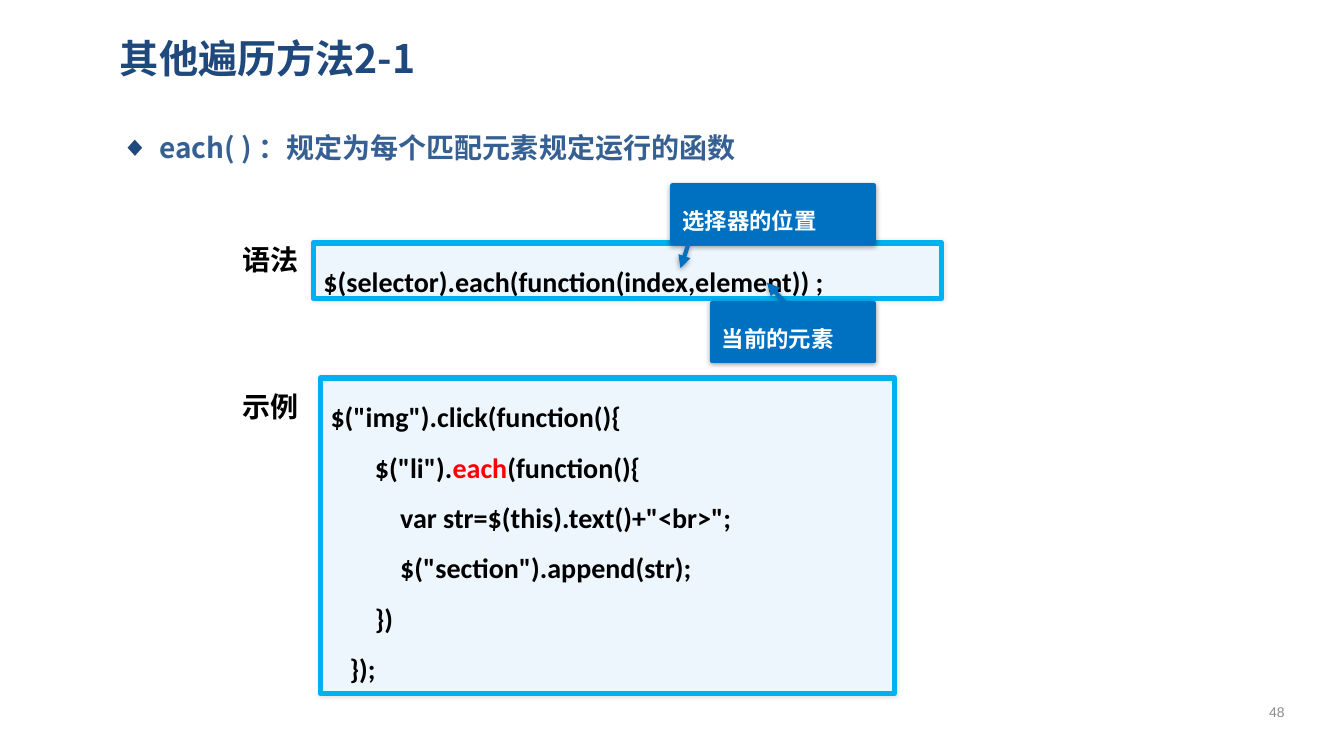
from dataclasses import dataclass

from lxml import etree
from pptx import Presentation
from pptx.dml.color import RGBColor
from pptx.enum.shapes import MSO_SHAPE as Preset
from pptx.enum.text import MSO_ANCHOR as Anchor, MSO_AUTO_SIZE as AutoSize, PP_ALIGN as Align
from pptx.oxml import parse_xml
from pptx.oxml.ns import nsdecls, qn
from pptx.util import Inches, Pt

CELL = 0.1  # inches per grid column and row
CHINESE, CODE, NUMBER = "Noto Sans CJK SC", "Calibri", "Arial"
NAVY, STEEL, BLUE, CYAN, PALE = "1F497D", "376092", "0070C0", "00B0F0", "EDF5FD"
BLACK, WHITE, RED, GRAY = "000000", "FFFFFF", "FF0000", "8C8C8C"


@dataclass
class Box:
    """A rectangle counted in grid cells."""
    left: float
    top: float
    width: float
    height: float

    def within(self, left, top, width, height):
        return Box(self.left + left, self.top + top, width, height)

    def lengths(self):
        return [Inches(cells * CELL) for cells in (self.left, self.top, self.width, self.height)]


def color(hex_string):
    return RGBColor.from_string(hex_string)


def shadow_effect(alpha, blur, distance, angle):
    return parse_xml(
        f'<a:effectLst {nsdecls("a")}><a:outerShdw blurRad="{Pt(blur)}" dist="{Pt(distance)}" '
        f'dir="{angle * 60000}" algn="ctr" rotWithShape="0"><a:srgbClr val="{BLACK}">'
        f'<a:alpha val="{alpha * 1000}"/></a:srgbClr></a:outerShdw></a:effectLst>')


def add_run(paragraph, text, size, font_name, hex_color, bold=True):
    run = paragraph.add_run()
    run.text = text
    font = run.font
    font.size, font.bold, font.name = Pt(size), bold, font_name
    font.color.rgb = color(hex_color)
    latin = run._r.rPr.find(qn("a:latin"))
    latin.addnext(parse_xml(f'<a:ea {nsdecls("a")} typeface="{font_name}"/>'))
    return run


def prepare_frame(shape, anchor=Anchor.TOP, wrap=True, insets=(0.1, 0.05)):
    frame = shape.text_frame
    frame.auto_size = AutoSize.NONE
    frame.word_wrap, frame.vertical_anchor = wrap, anchor
    frame.margin_left = frame.margin_right = Inches(insets[0])
    frame.margin_top = frame.margin_bottom = Inches(insets[1])
    return frame


def move(shape, box):
    shape.left, shape.top, shape.width, shape.height = box.lengths()


def add_panel(slide, box, preset, fill, line, line_width, shadow):
    shape = slide.shapes.add_shape(preset, *box.lengths())
    shape.fill.solid()
    shape.fill.fore_color.rgb = color(fill)
    shape.line.color.rgb = color(line)
    shape.line.width = Pt(line_width)
    shape._element.spPr.append(shadow_effect(*shadow))
    return shape


def add_title(slide, box):
    title = slide.shapes.title
    move(title, box)
    paragraph = prepare_frame(title, Anchor.MIDDLE, insets=(0.09, 0.04)).paragraphs[0]
    paragraph.alignment = Align.LEFT
    add_run(paragraph, "其他遍历方法2-1", 28, CHINESE, NAVY)


def add_bullet_list(slide, box):
    body = slide.placeholders[1]
    move(body, box)
    paragraph = prepare_frame(body, insets=(0.09, 0.04)).paragraphs[0]
    paragraph.line_spacing, paragraph.space_before = 1.2, Pt(0)
    properties = paragraph._p.get_or_add_pPr()
    properties.set("marL", str(Inches(0.38)))
    properties.set("indent", str(-Inches(0.38)))
    bullet_color = etree.SubElement(properties, qn("a:buClr"))
    etree.SubElement(bullet_color, qn("a:srgbClr")).set("val", NAVY)
    etree.SubElement(properties, qn("a:buChar")).set("char", "◆")
    add_run(paragraph, "each( ) ：规定为每个匹配元素规定运行的函数", 20, CHINESE, STEEL)


def add_label(slide, box, text):
    label = slide.shapes.add_textbox(*box.lengths())
    paragraph = prepare_frame(label, Anchor.MIDDLE, wrap=False).paragraphs[0]
    run = add_run(paragraph, text, 20, CHINESE, BLACK)
    run._r.rPr.find(qn("a:solidFill")).addnext(shadow_effect(43, 3, 3, 45))


def add_code(slide, box, lines):
    """Each line is a list of (text, colour) pieces."""
    panel = add_panel(slide, box, Preset.ROUNDED_RECTANGLE, PALE, CYAN, 4, (10, 3, 0, 0))
    panel.adjustments[0] = 0
    frame = prepare_frame(panel)
    for number, pieces in enumerate(lines):
        paragraph = frame.add_paragraph() if number else frame.paragraphs[0]
        paragraph.alignment, paragraph.line_spacing = Align.LEFT, 1.5
        for text, hex_color in pieces:
            add_run(paragraph, text, 20, CODE, hex_color)


def add_callout(slide, box, text, pointer):
    callout = add_panel(slide, box, Preset.LINE_CALLOUT_1, BLUE, BLUE, 3, (40, 4, 1, 90))
    for index, share in enumerate(pointer):
        callout.adjustments[index] = share
    outline = callout._element.spPr.find(qn("a:ln"))
    etree.SubElement(outline, qn("a:headEnd")).set("type", "triangle")
    paragraph = prepare_frame(callout, Anchor.MIDDLE).paragraphs[0]
    paragraph.alignment, paragraph.line_spacing = Align.LEFT, 1.5
    add_run(paragraph, text, 16, CHINESE, WHITE)


def add_syntax(slide, box):
    add_code(slide, box.within(8, 5.7, 62.3, 5.5),
             [[("$(selector).each(function(index,element)) ;", BLACK)]])
    add_label(slide, box.within(0, 5.1, 7.7, 4.4), "语法")
    add_callout(slide, box.within(43.6, 0, 20, 5.7), "选择器的位置", (1.44, 0.04, 0.9, 0.09))
    add_callout(slide, box.within(47.5, 11.7, 16.1, 5.7), "当前的元素", (-0.36, 0.34, 0.08, 0.48))


def add_example(slide, box):
    add_code(slide, box.within(8.7, 0, 56.9, 31.3), [
        [('$("img").click(function(){', BLACK)],
        [('       $("li").', BLACK), ("each", RED), ("(function(){", BLACK)],
        [('           var str=$(this).text()+"<br>";', BLACK)],
        [('           $("section").append(str);', BLACK)],
        [("       })", BLACK)],
        [("   });", BLACK)],
    ])
    add_label(slide, box.within(0, 0.6, 7.7, 4.4), "示例")


def add_page_number(slide, box):
    number = slide.shapes.add_textbox(*box.lengths())
    paragraph = prepare_frame(number, Anchor.MIDDLE, insets=(0.09, 0.04)).paragraphs[0]
    paragraph.alignment = Align.CENTER
    add_run(paragraph, "48", 10, NUMBER, GRAY, bold=False)


def main():
    presentation = Presentation()
    presentation.slide_width, presentation.slide_height = Inches(13.33), Inches(7.5)
    slide = presentation.slides.add_slide(presentation.slide_layouts[1])
    add_title(slide, Box(11, 2.4, 116.5, 6.7))
    add_bullet_list(slide, Box(11.1, 11.9, 116.5, 56.8))
    add_syntax(slide, Box(23.1, 18.4, 70.3, 17.4))
    add_example(slide, Box(23.1, 37.5, 65.6, 31.3))
    add_page_number(slide, Box(123.4, 68.6, 6.5, 4))
    presentation.save("out.pptx")


if __name__ == "__main__":
    main()
